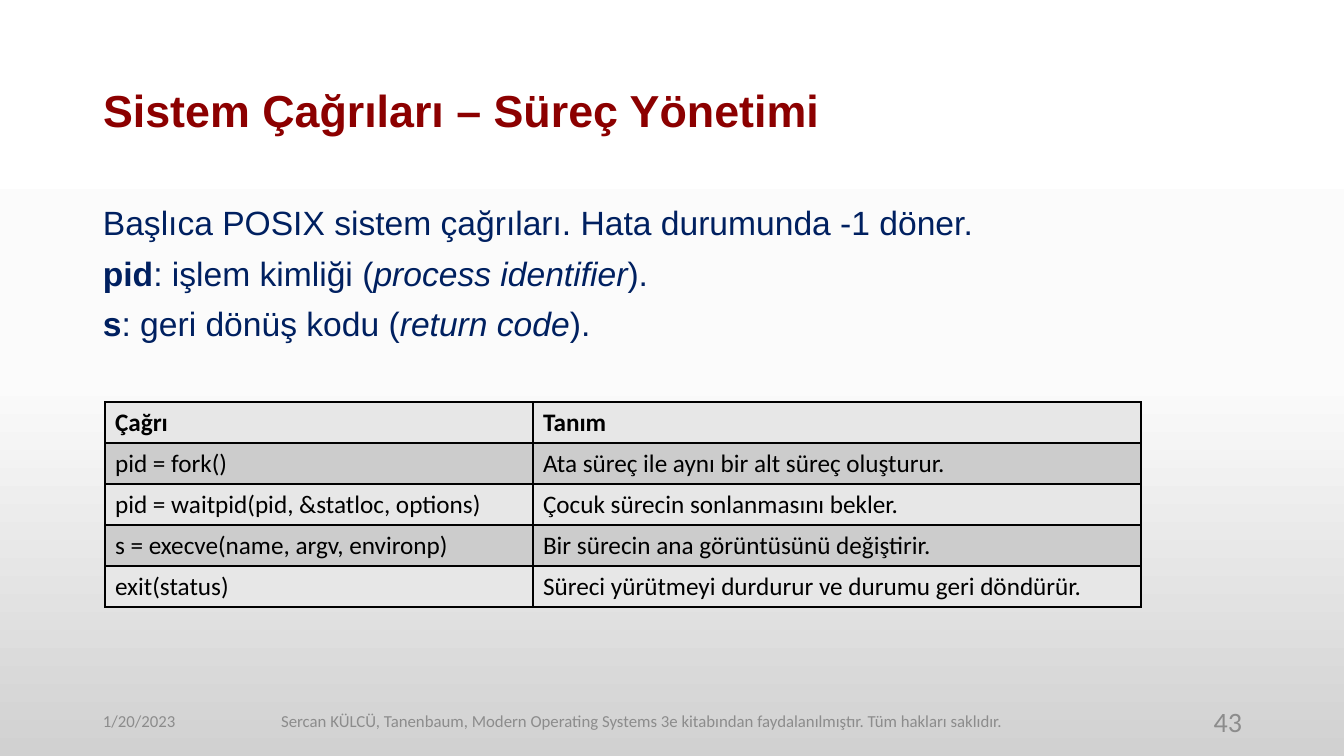
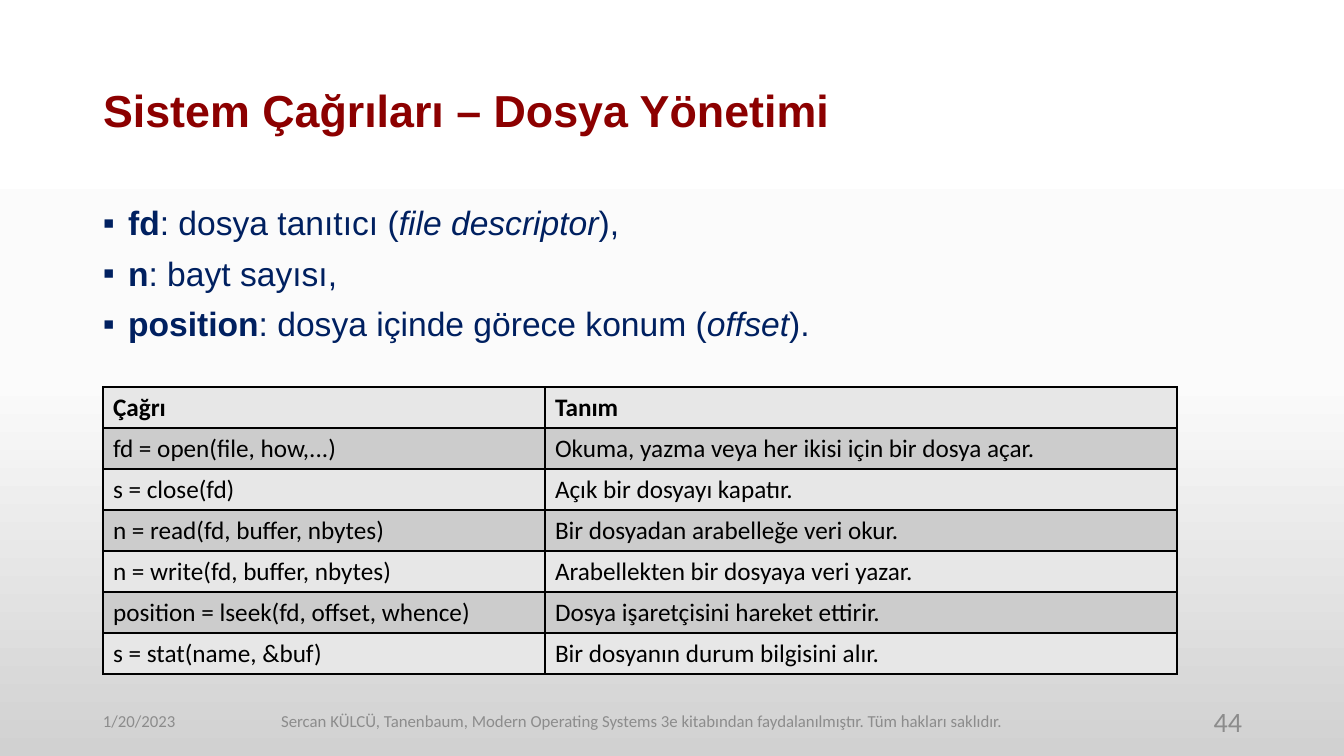
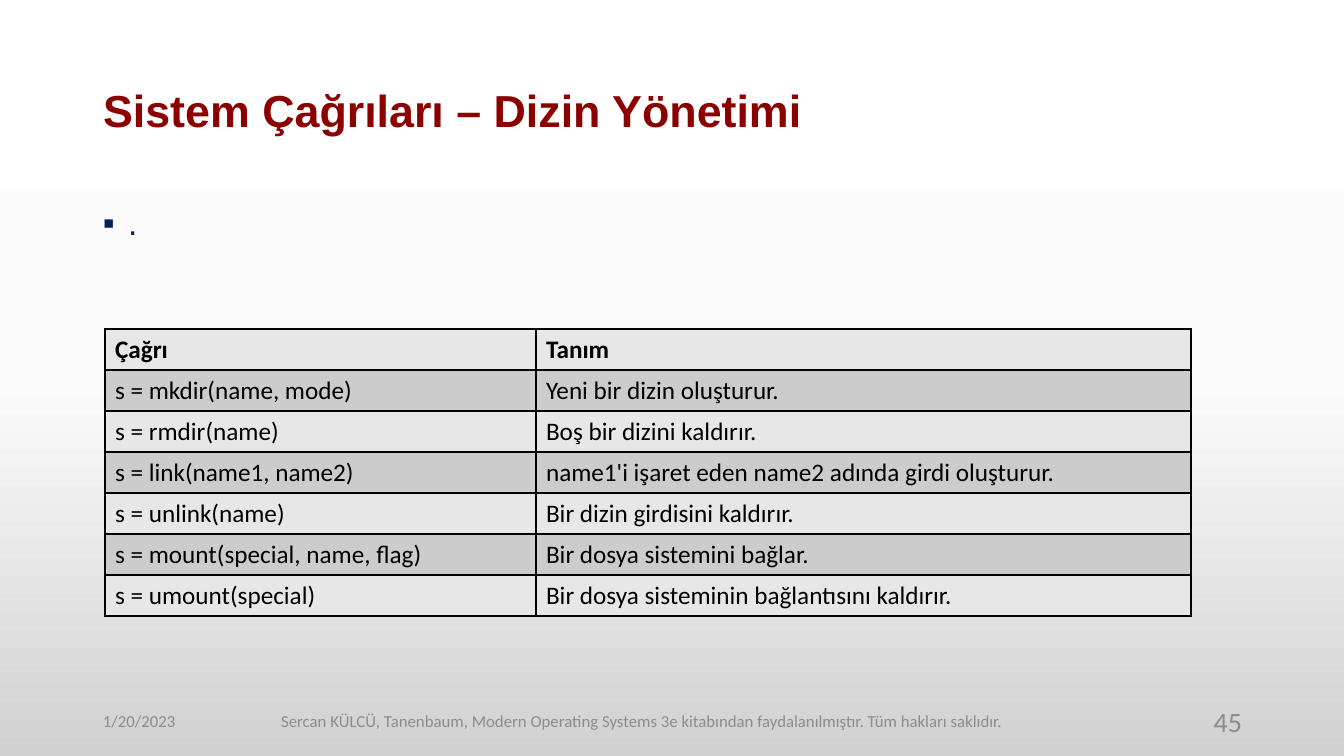
from copy import deepcopy

from lxml.etree import SubElement
from pptx import Presentation
from pptx.dml.color import RGBColor
from pptx.enum.text import MSO_ANCHOR, MSO_AUTO_SIZE, PP_ALIGN
from pptx.oxml.ns import qn
from pptx.util import Pt

PX = 12700 * 5 / 7  # 1344 px across 13.33 inches

# Shared styles
TITLE_FONT = {"name": "Arial", "size": Pt(32), "bold": True}
BODY_FONT = {"name": "Arial", "size": Pt(24)}
TABLE_FONT = {"name": "Calibri", "size": Pt(18)}
SMALL_FONT = {"name": "Calibri", "size": Pt(12)}
NUMBER_FONT = {"name": "Calibri", "size": Pt(20)}
TITLE_COLOR, BODY_COLOR, FOOTER_COLOR = "8C0000", "002060", "8C8C8C"
ROW_FILLS = ["E7E7E7", "CCCCCC"]
BACKGROUND = [(0, "FFFFFF"), (0.5, "FBFBFB"), (1, "D1D1D1")]
ROW_HEIGHT = 41
DATE = "1/20/2023"
CREDIT = ("Sercan KÜLCÜ, Tanenbaum, Modern Operating Systems 3e kitabından "
          "faydalanılmıştır. Tüm hakları saklıdır.")
FIRST_NUMBER = 43
BOLD, ITALIC = {"bold": True}, {"italic": True}

# Each body line is a list of (text, extra format) runs
SLIDES = [
    {
        "title": "Sistem Çağrıları – Süreç Yönetimi",
        "bullets": False,
        "body": [
            [("Başlıca POSIX sistem çağrıları. Hata durumunda -1 döner.", {})],
            [("pid", BOLD), (": işlem kimliği (", {}),
             ("process identifier", ITALIC), (").", {})],
            [("s", BOLD), (": geri dönüş kodu (", {}),
             ("return code", ITALIC), (").", {})],
        ],
        "corner": (105, 402),
        "columns": (428, 608),
        "calls": [
            ("pid = fork()", "Ata süreç ile aynı bir alt süreç oluşturur."),
            ("pid = waitpid(pid, &statloc, options)", "Çocuk sürecin sonlanmasını bekler."),
            ("s = execve(name, argv, environp)", "Bir sürecin ana görüntüsünü değiştirir."),
            ("exit(status)", "Süreci yürütmeyi durdurur ve durumu geri döndürür."),
        ],
    },
    {
        "title": "Sistem Çağrıları – Dosya Yönetimi",
        "bullets": True,
        "body": [
            [("fd", BOLD), (": dosya tanıtıcı (", {}),
             ("file descriptor", ITALIC), ("),", {})],
            [("n", BOLD), (": bayt sayısı,", {})],
            [("position", BOLD), (": dosya içinde görece konum (", {}),
             ("offset", ITALIC), (").", {})],
        ],
        "corner": (103, 387),
        "columns": (442, 632),
        "calls": [
            ("fd = open(file, how,...)", "Okuma, yazma veya her ikisi için bir dosya açar."),
            ("s = close(fd)", "Açık bir dosyayı kapatır."),
            ("n = read(fd, buffer, nbytes)", "Bir dosyadan arabelleğe veri okur."),
            ("n = write(fd, buffer, nbytes)", "Arabellekten bir dosyaya veri yazar."),
            ("position = lseek(fd, offset, whence)", "Dosya işaretçisini hareket ettirir."),
            ("s = stat(name, &buf)", "Bir dosyanın durum bilgisini alır."),
        ],
    },
    {
        "title": "Sistem Çağrıları – Dizin Yönetimi",
        "bullets": True,
        "body": [[(".", {})]],
        "corner": (105, 329),
        "columns": (431, 655),
        "calls": [
            ("s = mkdir(name, mode)", "Yeni bir dizin oluşturur."),
            ("s = rmdir(name)", "Boş bir dizini kaldırır."),
            ("s = link(name1, name2)", "name1'i işaret eden name2 adında girdi oluşturur."),
            ("s = unlink(name)", "Bir dizin girdisini kaldırır."),
            ("s = mount(special, name, flag)", "Bir dosya sistemini bağlar."),
            ("s = umount(special)", "Bir dosya sisteminin bağlantısını kaldırır."),
        ],
    },
]


def px(*lengths):
    return [round(length * PX) for length in lengths]


def write(paragraph, runs, font_format, color):
    for text, extra in runs:
        run = paragraph.add_run()
        run.text = text
        for name, value in {**font_format, **extra}.items():
            setattr(run.font, name, value)
        run.font.color.rgb = RGBColor.from_string(color)


presentation = Presentation()
presentation.slide_width, presentation.slide_height = px(1344, 756)
layout = presentation.slide_layouts[5]

# Background gradient, set once on the master
master = presentation.slide_master
fill = master.background.fill
fill.gradient()
fill.gradient_angle = 270
stop_list = master.element.find(".//" + qn("a:gsLst"))
stop_list.insert(1, deepcopy(stop_list[0]))
for stop, (position, color) in zip(fill.gradient_stops, BACKGROUND):
    stop.position = position
    stop.color.rgb = RGBColor.from_string(color)

for number, content in enumerate(SLIDES, FIRST_NUMBER):
    slide = presentation.slides.add_slide(layout)

    # Title
    title = slide.shapes.title
    title.left, title.top, title.width, title.height = px(93, 40, 1159, 146)
    frame = title.text_frame
    frame.word_wrap = True
    frame.auto_size = MSO_AUTO_SIZE.NONE
    frame.vertical_anchor = MSO_ANCHOR.MIDDLE
    paragraph = frame.paragraphs[0]
    paragraph.alignment = PP_ALIGN.LEFT
    paragraph.line_spacing = 0.9
    write(paragraph, [(content["title"], {})], TITLE_FONT, TITLE_COLOR)

    # Body text
    frame = slide.shapes.add_textbox(*px(93, 202, 1159, 516)).text_frame
    frame.word_wrap = True
    for index, runs in enumerate(content["body"]):
        paragraph = frame.add_paragraph() if index else frame.paragraphs[0]
        if content["bullets"]:
            properties = paragraph._p.get_or_add_pPr()
            properties.set("marL", "228600")
            properties.set("indent", "-228600")
            SubElement(properties, qn("a:buFont"), typeface="Arial")
            SubElement(properties, qn("a:buChar"), char="▪")
        paragraph.alignment = PP_ALIGN.JUSTIFY
        paragraph.line_spacing = 0.9
        paragraph.space_before = Pt(10 if index else 0)
        write(paragraph, runs, BODY_FONT, BODY_COLOR)

    # Footer: date, credit, slide number
    for left, width, text, alignment, font_format in [
        (93, 302, DATE, PP_ALIGN.LEFT, SMALL_FONT),
        (260, 764, CREDIT, PP_ALIGN.CENTER, SMALL_FONT),
        (950, 302, str(number), PP_ALIGN.RIGHT, NUMBER_FONT),
    ]:
        frame = slide.shapes.add_textbox(*px(left, 701, width, 40)).text_frame
        frame.word_wrap = True
        frame.vertical_anchor = MSO_ANCHOR.MIDDLE
        paragraph = frame.paragraphs[0]
        paragraph.alignment = alignment
        write(paragraph, [(text, {})], font_format, FOOTER_COLOR)

    # Table of system calls
    rows = [("Çağrı", "Tanım")] + content["calls"]
    columns = content["columns"]
    table = slide.shapes.add_table(
        len(rows), len(columns),
        *px(*content["corner"], sum(columns), ROW_HEIGHT * len(rows))).table
    table.horz_banding = False
    for column, width in zip(table.columns, px(*columns)):
        column.width = width
    for row_index, row in enumerate(rows):
        for column_index, text in enumerate(row):
            cell = table.cell(row_index, column_index)
            paragraph = cell.text_frame.paragraphs[0]
            write(paragraph, [(text, {"bold": row_index == 0})], TABLE_FONT, "000000")
            cell_properties = cell._tc.get_or_add_tcPr()
            for side in ("a:lnL", "a:lnR", "a:lnT", "a:lnB"):
                border = SubElement(cell_properties, qn(side), w="12700")
                SubElement(SubElement(border, qn("a:solidFill")), qn("a:srgbClr"), val="000000")
            cell.fill.solid()
            cell.fill.fore_color.rgb = RGBColor.from_string(ROW_FILLS[row_index % 2])

presentation.save("out.pptx")
